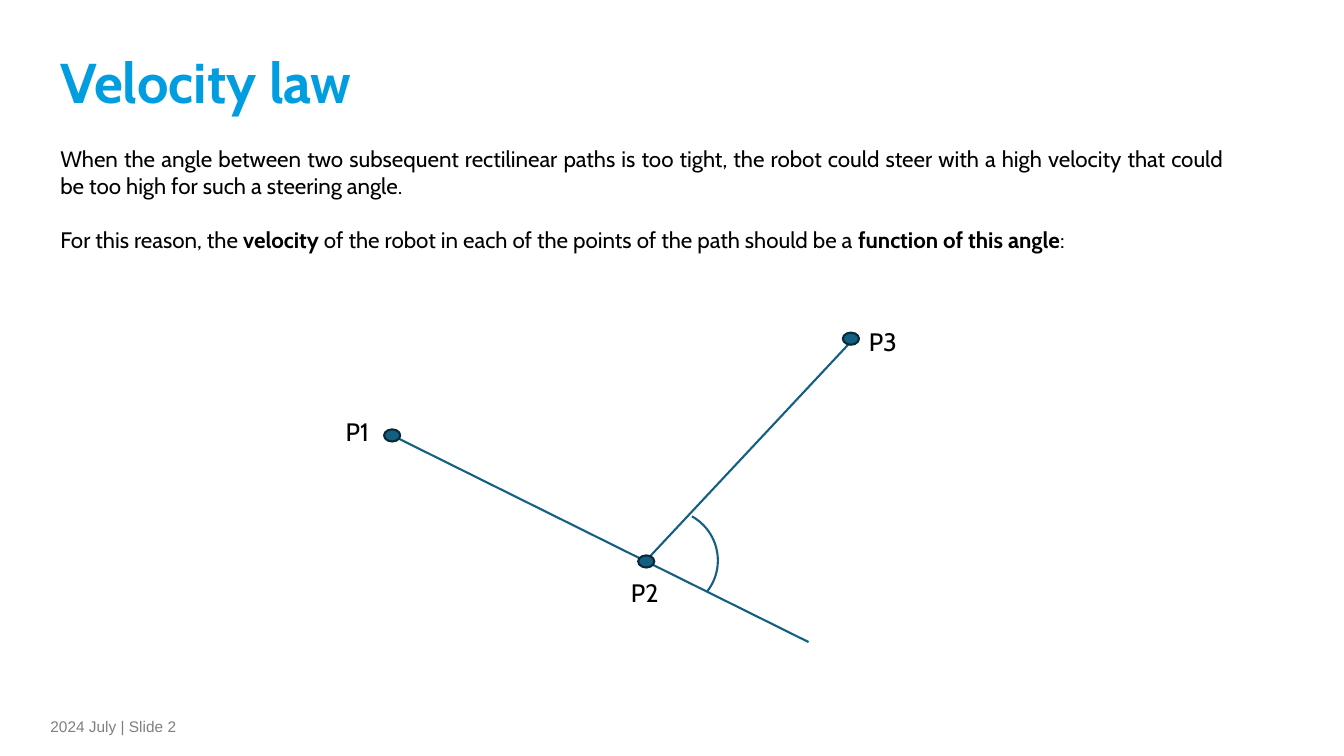
from dataclasses import dataclass

import pptx
import pptx.dml.color
import pptx.enum.shapes
import pptx.enum.text
import pptx.util
from lxml import etree
from pptx.util import Inches

COLORS = {
    "title": "009DE0",
    "text": "000000",
    "footer": "7F7F7F",
    "path": "156082",
    "point_edge": "092A39",
}
POINT_WIDTH, POINT_HEIGHT = 0.16, 0.12
LABEL_WIDTH, LABEL_HEIGHT = 0.48, 0.4
ARC_SIZE = 1.0


@dataclass
class PathPoint:
    label: str
    x: float
    y: float
    label_left: float
    label_top: float


@dataclass
class Segment:
    start: tuple[float, float]
    end: tuple[float, float]


PATH_POINTS = [
    PathPoint("P2", 6.41, 5.57, 6.16, 5.68),
    PathPoint("P1", 3.89, 4.32, 3.33, 4.08),
    PathPoint("P3", 8.44, 3.36, 8.52, 3.19),
]
SEGMENTS = [
    Segment((3.89, 4.32), (8.02, 6.37)),
    Segment((6.4, 5.57), (8.44, 3.39)),
]
# Each paragraph is a list of (text, bold) runs
EXPLANATION = [
    [("When the angle between two subsequent rectilinear paths is too tight, the robot "
      "could steer with a high velocity that could be too high for such a steering angle.", False)],
    [("For this reason, the ", False),
     ("velocity", True),
     (" of the robot in each of the points of the path should be a ", False),
     ("function of this angle", True),
     (":", False)],
]


def rgb(name: str) -> pptx.dml.color.RGBColor:
    return pptx.dml.color.RGBColor.from_string(COLORS[name])


def style_line(line, color: str) -> None:
    line.color.rgb = rgb(color)
    line.width = pptx.util.Pt(1.5)


def style_font(paragraph, size: float, color: str, name: str = "Cabin") -> None:
    paragraph.font.size = pptx.util.Pt(size)
    paragraph.font.name = name
    paragraph.font.color.rgb = rgb(color)


def add_text_frame(slide, left: float, top: float, width: float, height: float,
                   wrap: bool = True):
    box = slide.shapes.add_textbox(Inches(left), Inches(top), Inches(width), Inches(height))
    box.text_frame.word_wrap = wrap
    return box.text_frame


def add_title(slide) -> None:
    frame = add_text_frame(slide, 0.5, 0.38, 12.57, 0.93)
    frame.vertical_anchor = pptx.enum.text.MSO_ANCHOR.MIDDLE
    title = frame.paragraphs[0]
    title.text = "Velocity law"
    title.line_spacing = 0.9
    style_font(title, 40, "title")
    title.font.bold = True


def add_footer(slide) -> None:
    frame = add_text_frame(slide, 0.5, 7.12, 2.33, 0.22)
    frame.vertical_anchor = pptx.enum.text.MSO_ANCHOR.MIDDLE
    frame.margin_left = frame.margin_top = frame.margin_right = 0
    footer = frame.paragraphs[0]
    footer.text = "2024 July | Slide 2"
    style_font(footer, 11, "footer", "Arial")


def add_explanation(slide) -> None:
    frame = add_text_frame(slide, 0.5, 1.39, 11.74, 1.44)
    for index, runs in enumerate(EXPLANATION):
        paragraph = frame.add_paragraph() if index else frame.paragraphs[0]
        paragraph.alignment = pptx.enum.text.PP_ALIGN.JUSTIFY
        if index:
            paragraph.space_before = pptx.util.Pt(19.4)
        style_font(paragraph, 16, "text")
        for text, bold in runs:
            run = paragraph.add_run()
            run.text = text
            if bold:
                run.font.bold = True


def add_segment(slide, segment: Segment) -> None:
    line = slide.shapes.add_connector(
        pptx.enum.shapes.MSO_CONNECTOR.STRAIGHT,
        *(Inches(value) for value in segment.start + segment.end))
    style_line(line.line, "path")
    etree.SubElement(line._element.spPr, pptx.oxml.ns.qn("a:effectLst"))


def add_point(slide, point: PathPoint) -> None:
    dot = slide.shapes.add_shape(
        pptx.enum.shapes.MSO_SHAPE.OVAL,
        Inches(point.x - POINT_WIDTH / 2), Inches(point.y - POINT_HEIGHT / 2),
        Inches(POINT_WIDTH), Inches(POINT_HEIGHT))
    dot.shadow.inherit = False
    dot.fill.solid()
    dot.fill.fore_color.rgb = rgb("path")
    style_line(dot.line, "point_edge")


def add_point_label(slide, point: PathPoint) -> None:
    frame = add_text_frame(slide, point.label_left, point.label_top,
                           LABEL_WIDTH, LABEL_HEIGHT, wrap=False)
    frame.auto_size = pptx.enum.text.MSO_AUTO_SIZE.SHAPE_TO_FIT_TEXT
    label = frame.paragraphs[0]
    label.text = point.label
    style_font(label, 18, "text")


def add_steering_angle(slide) -> None:
    arc = slide.shapes.add_shape(pptx.enum.shapes.MSO_SHAPE.ARC, Inches(6.12), Inches(5.06),
                                 Inches(ARC_SIZE), Inches(ARC_SIZE))
    arc.shadow.inherit = False
    arc.fill.background()
    style_line(arc.line, "path")
    arc.rotation = 21
    arc.adjustments[0] = 166.84
    arc.adjustments[1] = 9.96


def main() -> None:
    presentation = pptx.Presentation()
    presentation.slide_width = Inches(13.33)
    presentation.slide_height = Inches(7.5)
    slide = presentation.slides.add_slide(presentation.slide_layouts[6])

    add_title(slide)
    add_footer(slide)
    add_explanation(slide)
    for segment in SEGMENTS:
        add_segment(slide, segment)
    for point in PATH_POINTS:
        add_point(slide, point)
    add_steering_angle(slide)
    for point in PATH_POINTS:
        add_point_label(slide, point)

    presentation.save("out.pptx")


if __name__ == "__main__":
    main()
